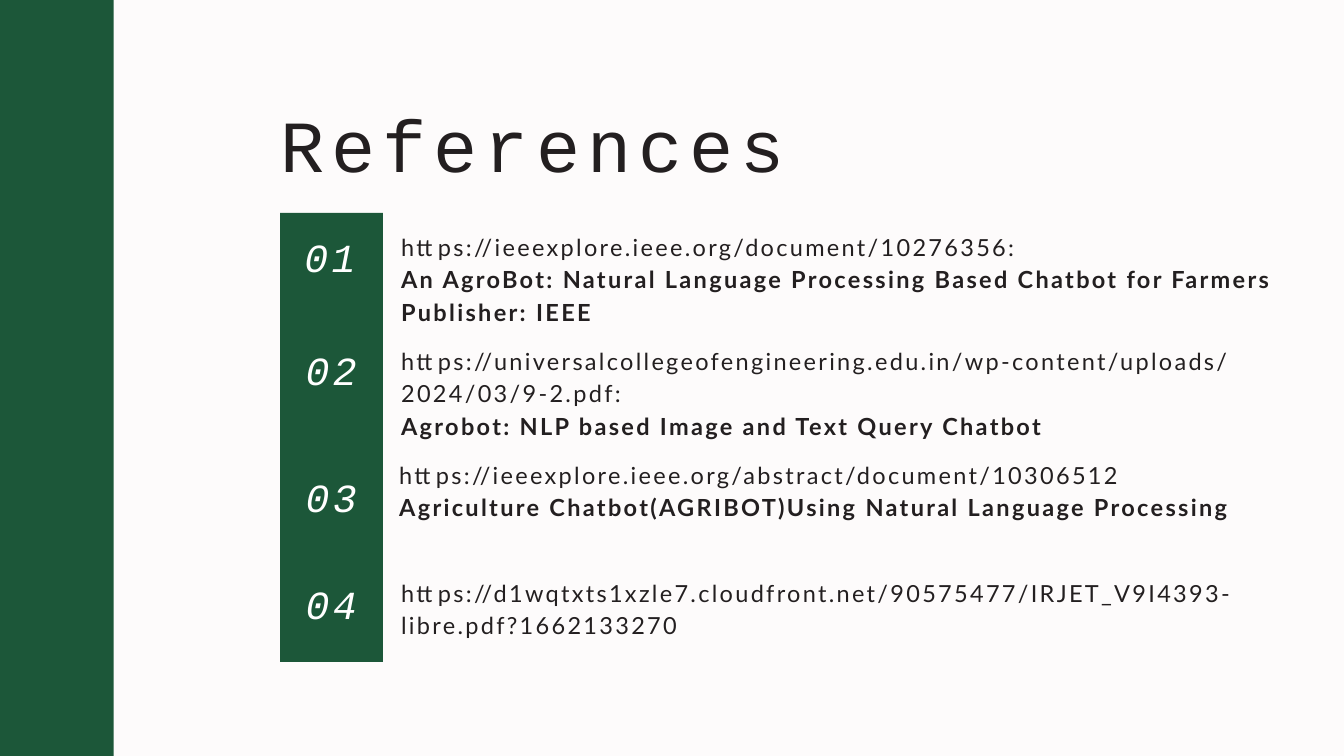
from pptx import Presentation
from pptx.dml.color import RGBColor
from pptx.enum.shapes import MSO_SHAPE
from pptx.enum.text import MSO_AUTO_SIZE, PP_ALIGN
from pptx.util import Pt

GREEN = "1C5739"
INK = "231F20"
WHITE = "FFFFFF"
PAPER = "FDFBFB"


def color(value):
    return RGBColor.from_string(value)


class SlideBuilder:
    heading_font = "Courier New"
    body_font = "Lato"

    def __init__(self, slide):
        self.slide = slide

    def background(self, value):
        fill = self.slide.background.fill
        fill.solid()
        fill.fore_color.rgb = color(value)

    def panel(self, left, top, width, height):
        shape = self.slide.shapes.add_shape(
            MSO_SHAPE.RECTANGLE, Pt(left), Pt(top), Pt(width), Pt(height))
        shape.shadow.inherit = False
        shape.fill.solid()
        shape.fill.fore_color.rgb = color(GREEN)
        shape.line.fill.background()

    def text(self, box, lines, font, size, value, line_height, tracking,
             align=PP_ALIGN.LEFT, italic=False):
        shape = self.slide.shapes.add_textbox(*[Pt(length) for length in box])
        frame = shape.text_frame
        frame.word_wrap = True
        frame.auto_size = MSO_AUTO_SIZE.SHAPE_TO_FIT_TEXT
        frame.margin_left = frame.margin_right = 0
        frame.margin_top = frame.margin_bottom = 0
        frame.text = "\n".join(lines)
        for index, paragraph in enumerate(frame.paragraphs):
            paragraph.alignment = align
            paragraph.line_spacing = Pt(line_height)
            for run in paragraph.runs:
                run.font.name = font
                run.font.size = Pt(size)
                run.font.bold = index > 0
                run.font.italic = italic
                run.font.color.rgb = color(value)
                run.font._element.set("spc", str(round(tracking * 100)))

    def title(self, box, wording):
        self.text(box, [wording], self.heading_font, 78.7, INK, 108.6, 7.7)

    def number(self, left, top, wording):
        self.text((left, top, 73.4, 56.2), [wording], self.heading_font, 42.7,
                  WHITE, 51.3, 3.5, PP_ALIGN.CENTER, True)

    def reference(self, left, top, width, height, lines):
        self.text((left, top, width, height), lines, self.body_font, 25.2,
                  INK, 34.8, 2.5)


REFERENCES = [
    (316.8, 249.1, (429.8, 244.8, 963.4, 102.2), [
        "https://ieeexplore.ieee.org/document/10276356:",
        "An AgroBot: Natural Language Processing Based Chatbot for Farmers "
        "Publisher: IEEE"]),
    (318.2, 370.1, (429.8, 367.2, 925.9, 102.2), [
        "https://universalcollegeofengineering.edu.in/wp-content/uploads/"
        "2024/03/9-2.pdf:",
        "Agrobot: NLP based Image and Text Query Chatbot"]),
    (318.2, 506.2, (427.7, 488.9, 925.9, 102.2), [
        "https://ieeexplore.ieee.org/abstract/document/10306512",
        "Agriculture Chatbot(AGRIBOT)Using Natural Language Processing"]),
    (318.2, 620.6, (429.8, 615.6, 929.5, 67.7), [
        "https://d1wqtxts1xzle7.cloudfront.net/90575477/"
        "IRJET_V9I4393-libre.pdf?1662133270"]),
]


def main():
    presentation = Presentation()
    presentation.slide_width = Pt(1440)
    presentation.slide_height = Pt(810)
    slide = presentation.slides.add_slide(presentation.slide_layouts[6])
    builder = SlideBuilder(slide)
    builder.background(PAPER)
    builder.panel(300.2, 228.2, 110.2, 481)
    builder.panel(0, 0, 121.7, 810)
    builder.title((300.2, 92.2, 555.8, 113), "References")
    for position, (left, top, box, lines) in enumerate(REFERENCES, 1):
        builder.number(left, top, f"{position:02d}")
        builder.reference(*box, lines)
    presentation.save("out.pptx")


if __name__ == "__main__":
    main()
